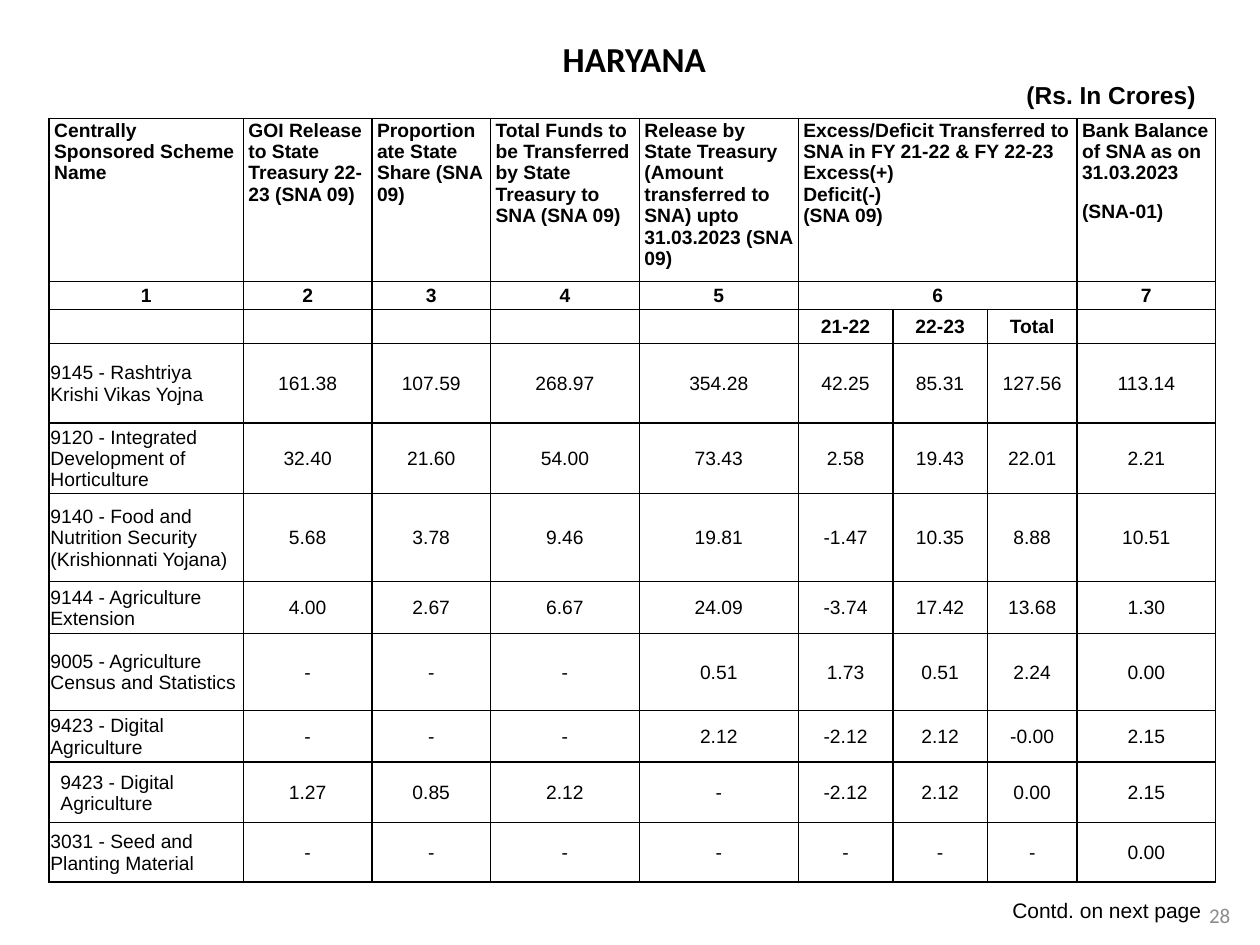
import pptx
import pptx.dml.color
import pptx.enum.text
import pptx.oxml
import pptx.util

Pt = pptx.util.Pt
Inches = pptx.util.Inches
ALIGN = pptx.enum.text.PP_ALIGN
ANCHOR = pptx.enum.text.MSO_ANCHOR
NS = "http://schemas.openxmlformats.org/drawingml/2006/main"

SLIDE_W, SLIDE_H = Inches(10), Inches(7.5)
BLACK, GREY = "000000", "8C8C8C"

# Relative column widths and row heights of the table
COLUMNS = [1.54, 1.02, 0.94, 1.18, 1.26, 0.75, 0.75, 0.71, 1.1]
ROWS = [1.29, 0.22, 0.27, 0.63, 0.56, 0.70, 0.41, 0.61, 0.41, 0.48, 0.47]
YEARS = slice(5, 8)  # columns under the shared excess/deficit heading

HEADINGS = [
    ["Centrally Sponsored Scheme Name"],
    ["GOI Release to State Treasury 22-23 (SNA 09)"],
    ["Proportionate State Share (SNA 09)"],
    ["Total Funds to be Transferred by State Treasury to SNA (SNA 09)"],
    ["Release by State Treasury (Amount transferred to SNA) upto 31.03.2023 (SNA 09)"],
    ["Excess/Deficit Transferred to SNA in FY 21-22 & FY 22-23",
     "Excess(+)", "Deficit(-)", "(SNA 09)"],
    [], [],
    ["Bank Balance of SNA as on 31.03.2023", "(SNA-01)"],
]
NUMBERS = ["1", "2", "3", "4", "5", "6", "", "", "7"]
SUBHEADINGS = ["", "", "", "", "", "21-22", "22-23", "Total", ""]
SCHEMES = [
    ("9145 - Rashtriya Krishi Vikas Yojna",
     "161.38 107.59 268.97 354.28 42.25 85.31 127.56 113.14"),
    ("9120 - Integrated Development of Horticulture",
     "32.40 21.60 54.00 73.43 2.58 19.43 22.01 2.21"),
    ("9140 - Food and Nutrition Security (Krishionnati Yojana)",
     "5.68 3.78 9.46 19.81 -1.47 10.35 8.88 10.51"),
    ("9144 - Agriculture Extension",
     "4.00 2.67 6.67 24.09 -3.74 17.42 13.68 1.30"),
    ("9005 - Agriculture Census and Statistics",
     "- - - 0.51 1.73 0.51 2.24 0.00"),
    ("9423 - Digital Agriculture", "- - - 2.12 -2.12 2.12 -0.00 2.15"),
    ("9423 - Digital Agriculture", "1.27 0.85 2.12 - -2.12 2.12 0.00 2.15"),
    ("3031 - Seed and Planting Material", "- - - - - - - 0.00"),
]
INDENTED_SCHEME = 6


def rgb(value):
    return pptx.dml.color.RGBColor.from_string(value)


def place(left, top, width, height):
    """Turn inches on the slide's 10 by 7.5 grid into a box."""
    return (int(SLIDE_W * left / 10), int(SLIDE_H * top / 7.5),
            int(SLIDE_W * width / 10), int(SLIDE_H * height / 7.5))


def style(font, size, face="Arial", color=BLACK, bold=False):
    font.size, font.name, font.bold = Pt(size), face, bold
    font.color.rgb = rgb(color)


def write(paragraph, text, align, size, **look):
    paragraph.alignment = align
    run = paragraph.add_run()
    run.text = text
    style(run.font, size, **look)


def add_title(slide, box):
    frame = slide.shapes.add_textbox(*box).text_frame
    frame.word_wrap = True
    frame.margin_left = frame.margin_right = Inches(0.15)
    write(frame.paragraphs[0], "HARYANA", ALIGN.CENTER, 20, face="Calibri", bold=True)
    write(frame.add_paragraph(), "(Rs. In Crores)", ALIGN.RIGHT, 14, bold=True)


def add_label(slide, box, text, wrap, **look):
    frame = slide.shapes.add_textbox(*box).text_frame
    frame.word_wrap = wrap
    frame.vertical_anchor = ANCHOR.MIDDLE
    write(frame.paragraphs[0], text, ALIGN.CENTER, 12, **look)


def draw_borders(cell):
    properties = cell._tc.get_or_add_tcPr()
    for side in "LRTB":
        properties.append(pptx.oxml.parse_xml(
            f'<a:ln{side} xmlns:a="{NS}" w="12700"><a:solidFill>'
            f'<a:srgbClr val="{BLACK}"/></a:solidFill></a:ln{side}>'))


def fill_cell(cell, lines, align, side=0.01, left=None, anchor=ANCHOR.MIDDLE,
              bold=False, after=0):
    cell.margin_left = Inches(side if left is None else left)
    cell.margin_right = Inches(side)
    cell.margin_top, cell.margin_bottom = Inches(0.01), 0
    cell.vertical_anchor = anchor
    frame = cell.text_frame
    for index, line in enumerate(lines):
        paragraph = frame.add_paragraph() if index else frame.paragraphs[0]
        paragraph.space_after = Pt(after)
        write(paragraph, line, align, 11, bold=bold)


def add_fund_table(slide, box):
    frame = slide.shapes.add_table(len(ROWS), len(COLUMNS), *box)
    table = frame.table
    table.first_row = table.horz_banding = False
    for column, share in zip(table.columns, COLUMNS):
        column.width = int(box[2] * share / sum(COLUMNS))
    for row, share in zip(table.rows, ROWS):
        row.height = int(box[3] * share / sum(ROWS))

    # Plain black grid; the small font keeps empty cells from growing
    for cell in table.iter_cells():
        draw_borders(cell)
        cell.fill.background()
        style(cell.text_frame.paragraphs[0].font, 11)
        cell.margin_top = cell.margin_bottom = 0
    for row in (0, 1):
        table.cell(row, YEARS.start).merge(table.cell(row, YEARS.stop - 1))

    # Headings, column numbers and year subheadings
    for column, lines in enumerate(HEADINGS):
        after = 0 if column == YEARS.start else 10
        fill_cell(table.cell(0, column), lines, ALIGN.LEFT, side=0.04,
                  anchor=ANCHOR.TOP, bold=True, after=after)
        if NUMBERS[column]:
            fill_cell(table.cell(1, column), [NUMBERS[column]], ALIGN.CENTER,
                      side=0.04, bold=True)
        if SUBHEADINGS[column]:
            fill_cell(table.cell(2, column), [SUBHEADINGS[column]], ALIGN.CENTER,
                      bold=True)

    # One row for each scheme
    for index, (scheme, amounts) in enumerate(SCHEMES):
        row = index + 3
        indent = 0.09 if index == INDENTED_SCHEME else 0.01
        fill_cell(table.cell(row, 0), [scheme], ALIGN.LEFT, left=indent)
        for column, amount in enumerate(amounts.split(), start=1):
            fill_cell(table.cell(row, column), [amount], ALIGN.CENTER)


def main():
    deck = pptx.Presentation()
    deck.slide_width, deck.slide_height = SLIDE_W, SLIDE_H
    slide = deck.slides.add_slide(deck.slide_layouts[6])
    add_title(slide, place(0.43, 0.25, 9.21, 0.67))
    add_fund_table(slide, place(0.39, 0.94, 9.26, 6.06))
    add_label(slide, place(9.48, 7.06, 0.4, 0.4), "28", True,
              face="Calibri", color=GREY)
    add_label(slide, place(7.93, 7.07, 1.71, 0.3), "Contd. on next page", False)
    deck.save("out.pptx")


if __name__ == "__main__":
    main()
